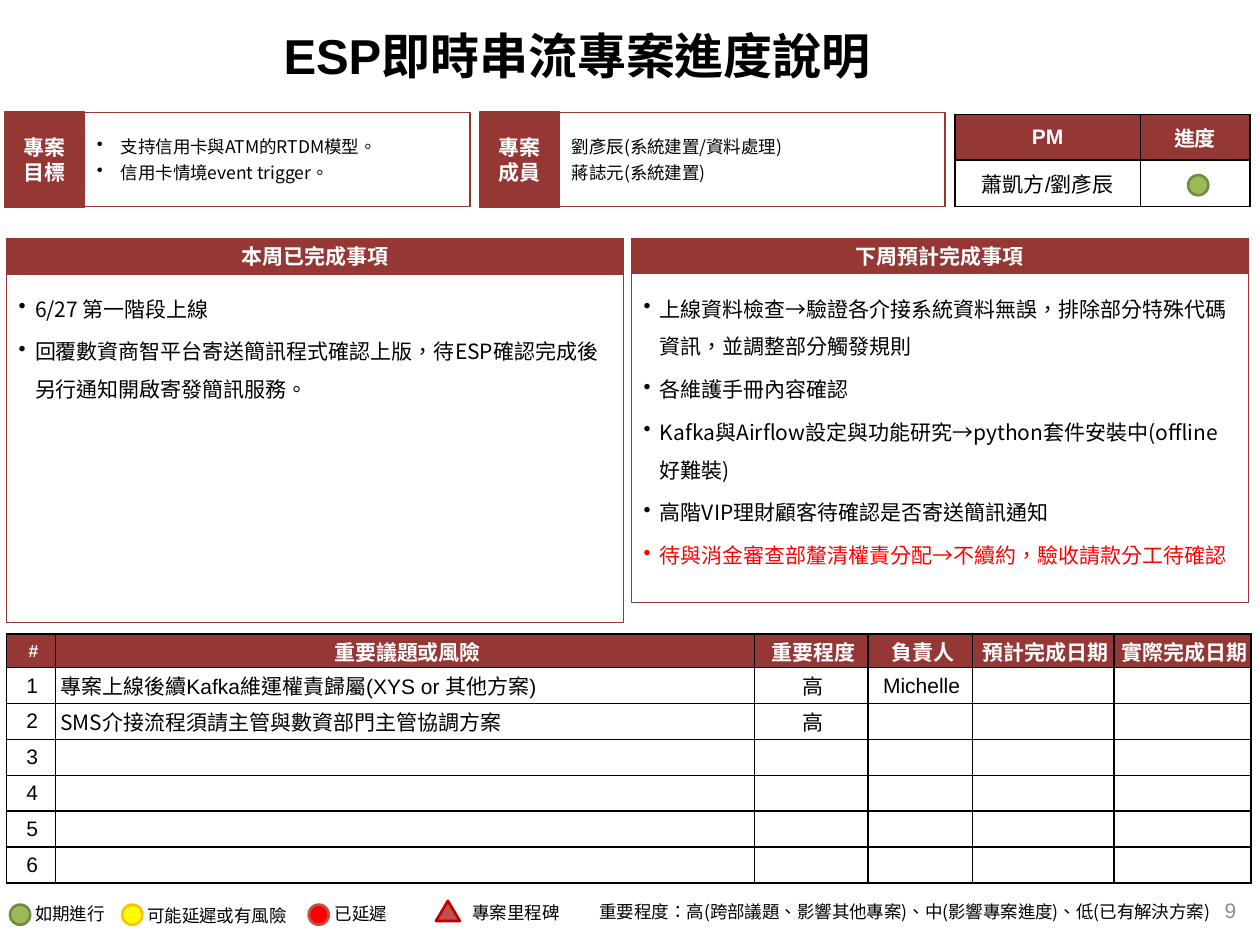
from pptx import Presentation
from pptx import util as u
from pptx.dml.color import RGBColor
from pptx.enum import lang, shapes, text
from pptx.oxml.ns import qn
from pptx.oxml.xmlchemy import OxmlElement

color = RGBColor.from_string
SANS, CJK = "Arial", "Noto Sans CJK SC"
MAROON, WHITE, BLACK, RED = "953735", "FFFFFF", "000000", "FF0000"
LEFT, CENTER, RIGHT = text.PP_ALIGN.LEFT, text.PP_ALIGN.CENTER, text.PP_ALIGN.RIGHT
TOP, MIDDLE = text.MSO_ANCHOR.TOP, text.MSO_ANCHOR.MIDDLE
RECT, OVAL = shapes.MSO_SHAPE.RECTANGLE, shapes.MSO_SHAPE.OVAL
TRIANGLE = shapes.MSO_SHAPE.ISOSCELES_TRIANGLE


def write(frame, lines, size=12, fill=BLACK, name=SANS, bold=False, align=LEFT,
          anchor=MIDDLE, after=0, spacing=None, indent=0):
    """Fill a text frame with paragraphs; an indent also gives them bullets."""
    frame.vertical_anchor = anchor
    for index, line in enumerate(lines):
        paragraph = frame.paragraphs[0] if index == 0 else frame.add_paragraph()
        paragraph.text = line
        paragraph.alignment = align
        paragraph.space_after = u.Pt(after)
        paragraph.line_spacing = spacing
        font = paragraph.font
        font.size, font.bold, font.name = u.Pt(size), bold, name
        font.color.rgb = color(fill)
        font.language_id = lang.MSO_LANGUAGE_ID.TRADITIONAL_CHINESE
        properties = paragraph._p.get_or_add_pPr()
        defaults = properties.find(qn("a:defRPr"))
        east_asian = OxmlElement("a:ea")
        east_asian.set("typeface", CJK)
        defaults.append(east_asian)
        if not line:  # an empty line takes its height from its end mark
            end = OxmlElement("a:endParaRPr")
            end.set("sz", str(size * 100))
            paragraph._p.append(end)
        if indent:
            properties.set("marL", str(u.Inches(indent)))
            properties.set("indent", str(-u.Inches(indent)))
            bullet = OxmlElement("a:buChar")
            bullet.set("char", "•")
            defaults.addprevious(bullet)


def add_box(at, kind=RECT, fill=None, line=MAROON, width=0.75):
    """Add a preset shape without shadow."""
    shape = slide.shapes.add_shape(kind, *map(u.Inches, at))
    shape.shadow.inherit = False
    if fill:
        shape.fill.solid()
        shape.fill.fore_color.rgb = color(fill)
    else:
        shape.fill.background()
    shape.line.color.rgb = color(line)
    shape.line.width = u.Pt(width)
    return shape


presentation = Presentation()
presentation.slide_width, presentation.slide_height = u.Inches(10), u.Inches(7.5)
slide = presentation.slides.add_slide(presentation.slide_layouts[5])

# Title
title = slide.shapes.title
title.left, title.top, title.width, title.height = map(u.Inches, (2.15, 0.09, 7.62, 0.69))
title.text_frame.auto_size = text.MSO_AUTO_SIZE.NONE
write(title.text_frame, ["ESP即時串流專案進度說明"], size=28, bold=True)

# Goal and members
summaries = [
    (0.04, ["專案", "目標"], ["支持信用卡與ATM的RTDM模型。", "信用卡情境event trigger。"], 0.19),
    (3.81, ["專案", "成員"], ["劉彥辰(系統建置/資料處理)", "蔣誌元(系統建置)"], 0),
]
for left, label, lines, indent in summaries:
    write(add_box((left, 0.89, 0.63, 0.76), fill=MAROON).text_frame, label,
          fill=WHITE, bold=True, align=CENTER)
    write(add_box((left + 0.63, 0.89, 3.06, 0.75)).text_frame, lines,
          size=10, name=CJK, after=2.8, indent=indent)

# Weekly panels
panels = [
    (0.05, 0.29, 2.77, "本周已完成事項", [
        "6/27 第一階段上線",
        "回覆數資商智平台寄送簡訊程式確認上版，待ESP確認完成後另行通知開啟寄發簡訊服務。"]),
    (5.01, 0.28, 2.61, "下周預計完成事項", [
        "上線資料檢查→驗證各介接系統資料無誤，排除部分特殊代碼資訊，並調整部分觸發規則",
        "各維護手冊內容確認",
        "Kafka與Airflow設定與功能研究→python套件安裝中(offline好難裝)",
        "高階VIP理財顧客待確認是否寄送簡訊通知",
        "待與消金審查部釐清權責分配→不續約，驗收請款分工待確認"]),
]
for left, header_height, height, heading, items in panels:
    header = add_box((left, 1.89, 4.9, header_height), fill=MAROON)
    write(header.text_frame, [heading], fill=WHITE, bold=True, align=CENTER, after=2.8)
    body = add_box((left, 2.17, 4.9, height)).text_frame
    body.margin_top = body.margin_bottom = u.Inches(0.08)
    write(body, items, name=CJK, anchor=TOP, after=2.8, spacing=1.5, indent=0.13)
body.paragraphs[-1].font.color.rgb = color(RED)

# Tables: owner and status, then issues and risks
issues = [
    ["#", "重要議題或風險", "重要程度", "負責人", "預計完成日期", "實際完成日期"],
    ["1", "專案上線後續Kafka維運權責歸屬(XYS or 其他方案)", "高", "Michelle", "", ""],
    ["2", "SMS介接流程須請主管與數資部門主管協調方案", "高", "", "", ""],
] + [[str(number)] + [""] * 5 for number in range(3, 7)]
tables = [
    ((7.58, 0.91), [1.47, 0.87], [0.36, 0.37],
     [["PM", "進度"], ["蕭凱方/劉彥辰", ""]], False),
    ((0.05, 5.03), [0.39, 5.55, 0.9, 0.83, 1.12, 1.09], [0.27] + [0.285] * 6, issues, True),
]
for (left, top), widths, heights, rows, compact in tables:
    table = slide.shapes.add_table(
        len(rows), len(widths),
        *map(u.Inches, (left, top, sum(widths), sum(heights)))).table
    table.first_row = table.horz_banding = False
    for column, width in zip(table.columns, widths):
        column.width = u.Inches(width)
    for row_index, (row, height) in enumerate(zip(rows, heights)):
        table.rows[row_index].height = u.Inches(height)
        is_header = row_index == 0
        for column_index, value in enumerate(row):
            cell = table.cell(row_index, column_index)
            for side in ("lnL", "lnR", "lnT", "lnB"):
                border = OxmlElement(f"a:{side}")
                border.set("w", str(u.Pt(1)))
                paint, shade = OxmlElement("a:solidFill"), OxmlElement("a:srgbClr")
                shade.set("val", BLACK)
                paint.append(shade)
                border.append(paint)
                cell._tc.get_or_add_tcPr().append(border)
            if is_header or not compact:
                cell.fill.solid()
                cell.fill.fore_color.rgb = color(MAROON if is_header else WHITE)
            else:
                cell.fill.background()
            if compact:
                cell.margin_left = u.Inches(0.04)
                cell.margin_right = u.Inches(0 if is_header else 0.02)
                cell.margin_top = cell.margin_bottom = 0
            is_issue = compact and column_index == 1 and not is_header
            write(cell.text_frame, [value], size=10 if value == "#" else 12,
                  fill=WHITE if is_header else BLACK, bold=is_header,
                  name=CJK if value.startswith("SMS") else SANS,
                  align=LEFT if is_issue else CENTER,
                  after=2.8 if is_header and not compact else 0,
                  spacing=1.06 if is_header and compact else None)
            cell.vertical_anchor = MIDDLE
            if is_header and compact:
                cell.text_frame.paragraphs[0].space_before = u.Pt(
                    2.4 if column_index < 2 else 4.8)

# Status light and legend marks
marks = [
    (OVAL, (9.43, 1.39, 0.16, 0.16), "9BBB59", "738A42"),
    (OVAL, (0.08, 7.18, 0.16, 0.16), "9BBB59", "738A42"),
    (OVAL, (0.97, 7.18, 0.16, 0.16), "FFFF00", "FFC000"),
    (OVAL, (2.45, 7.18, 0.16, 0.16), RED, "C0504D"),
    (TRIANGLE, (3.46, 7.15, 0.19, 0.16), "C0504D", "C00000"),
]
for kind, at, fill, line in marks:
    add_box(at, kind, fill, line, 1.5)

# Legend labels, importance note and page number
importance = "重要程度：高(跨部議題、影響其他專案)、中(影響專案進度)、低(已有解決方案)"
labels = [
    ((0.18, 7.12, 0.76, 0.27), "如期進行", False, 0.05, {}),
    ((1.07, 7.13, 1.32, 0.27), "可能延遲或有風險", False, 0.05, {}),
    ((2.56, 7.12, 0.62, 0.27), "已延遲", False, 0.05, {}),
    ((3.65, 7.11, 1.01, 0.27), "專案里程碑", True, 0.05, {"name": CJK}),
    ((4.66, 7.05, 5.12, 0.37), importance, True, 0.1, {"name": CJK}),
    ((7.66, 7.02, 2.25, 0.4), "9", True, 0.05,
     {"size": 12, "fill": "8C8C8C", "align": RIGHT, "anchor": MIDDLE}),
]
for at, label, wrap, margin, style in labels:
    frame = slide.shapes.add_textbox(*map(u.Inches, at)).text_frame
    frame.word_wrap = wrap
    frame.margin_top = frame.margin_bottom = u.Inches(margin)
    write(frame, [label], **{"size": 10, "anchor": TOP, **style})

presentation.save("out.pptx")
